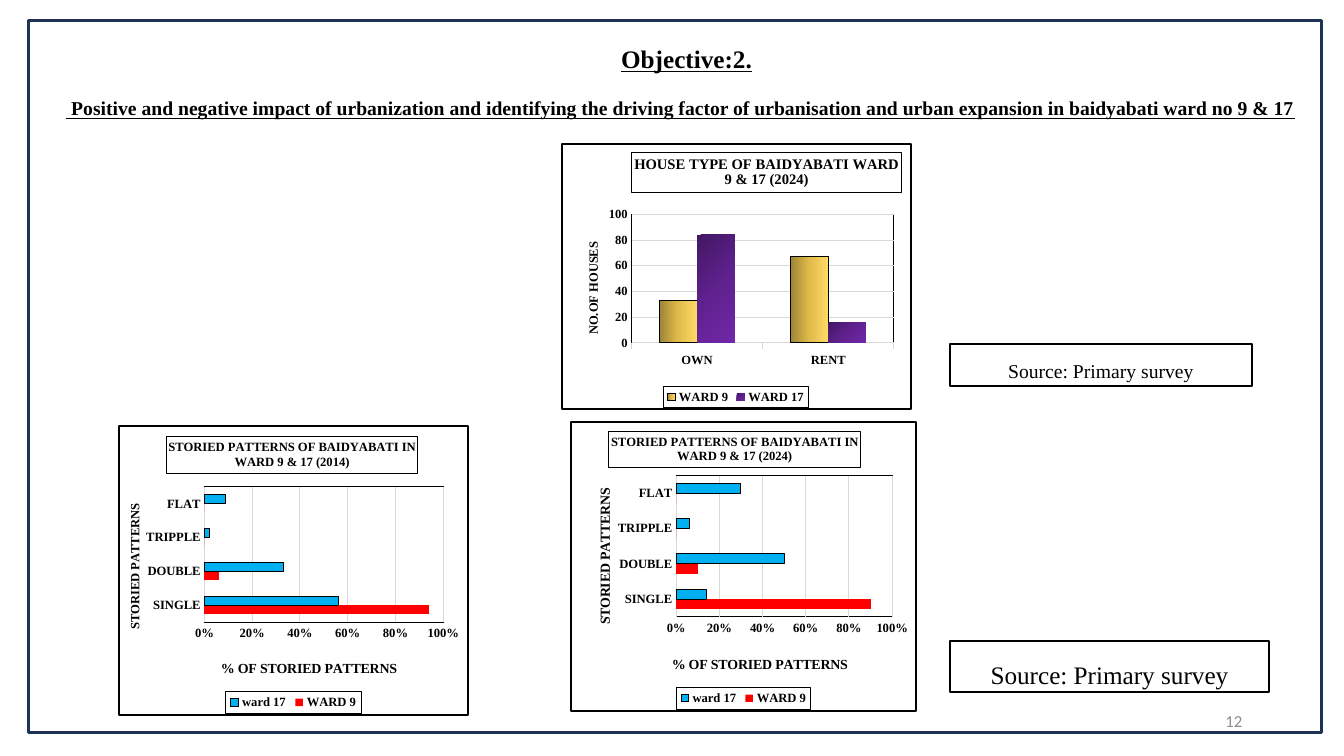
"""Build the Objective 2 slide on house types and storied patterns in two wards."""
from pptx import Presentation
from pptx.chart.data import CategoryChartData
from pptx.dml.color import RGBColor
from pptx.enum.chart import XL_CHART_TYPE, XL_LEGEND_POSITION, XL_TICK_MARK
from pptx.enum.shapes import MSO_SHAPE
from pptx.enum.text import MSO_ANCHOR, PP_ALIGN
from pptx.oxml import parse_xml
from pptx.oxml.ns import nsdecls, qn
from pptx.util import Inches, Pt

COLORS = {
    "ink": "000000", "frame": "1E3256", "number": "8C8C8C", "paper": "FFFFFF",
    "grid": "D9D9D9", "red": "FF0000", "blue": "00B0F0",
}
GOLD = (0, ["9E8436", "E1BC4C", "FFD966"])
PURPLE = (45, ["431764", "5F218E", "7128A8"])
SERIF = "Times New Roman"
STORIES = ["SINGLE", "DOUBLE", "TRIPPLE", "FLAT"]


def rgb(name):
    return RGBColor.from_string(COLORS[name])


def style_font(font, size, bold=None, underline=None, color="ink", face=SERIF):
    font.size, font.bold, font.underline, font.name = Pt(size), bold, underline, face
    font.color.rgb = rgb(color)


def write(paragraph, text, align=PP_ALIGN.CENTER, spacing=None, after=None, **font):
    paragraph.alignment, paragraph.line_spacing = align, spacing
    if after:
        paragraph.space_after = Pt(after)
    run = paragraph.add_run()
    run.text = text
    style_font(run.font, **font)


def outline(line, color, width):
    line.color.rgb = rgb(color)
    line.width = Pt(width)


def box_xml(width, fill=None):
    paint = f'<a:solidFill><a:srgbClr val="{COLORS[fill]}"/></a:solidFill>' if fill else "<a:noFill/>"
    return parse_xml(
        f'<c:spPr {nsdecls("c", "a")}>{paint}<a:ln w="{Pt(width)}"><a:solidFill>'
        f'<a:srgbClr val="{COLORS["ink"]}"/></a:solidFill></a:ln></c:spPr>')


def place(element, spot, after=None, inner=False):
    old = element.find(qn("c:layout"))
    if old is not None:
        element.remove(old)
    target = '<c:layoutTarget val="inner"/>' if inner else ""
    modes = '<c:xMode val="edge"/><c:yMode val="edge"/>'
    sizes = "".join(f'<c:{key} val="{value}"/>' for key, value in zip("xywh", spot))
    layout = parse_xml(
        f'<c:layout {nsdecls("c")}><c:manualLayout>{target}{modes}{sizes}'
        "</c:manualLayout></c:layout>")
    if after:
        element.find(qn(after)).addnext(layout)
    else:
        element.insert(0, layout)


def paint_series(series, paint):
    fill = series.format.fill
    fill.solid()
    if isinstance(paint, str):
        fill.fore_color.rgb = rgb(paint)
        return
    angle, shades = paint
    stops = "".join(
        f'<a:gs pos="{50000 * i}"><a:srgbClr val="{shade}"/></a:gs>' for i, shade in enumerate(shades))
    gradient = parse_xml(
        f'<a:gradFill {nsdecls("a")}><a:gsLst>{stops}</a:gsLst>'
        f'<a:lin ang="{angle * 60000}" scaled="0"/></a:gradFill>')
    properties = series._element.find(qn("c:spPr"))
    properties.replace(properties.find(qn("a:solidFill")), gradient)


class SlideBuilder:
    """Hold the text style and the current slide."""

    def __init__(self, slide):
        self.slide = slide
        self.body = {"spacing": 1.5, "after": 8}

    def text(self, at, lines, anchor=MSO_ANCHOR.TOP):
        frame = self.slide.shapes.add_textbox(*map(Inches, at)).text_frame
        frame.word_wrap, frame.vertical_anchor = True, anchor
        for i, (words, style) in enumerate(lines):
            write(frame.add_paragraph() if i else frame.paragraphs[0], words, **style)

    def box(self, at, color="ink", width=1.5, words=None, size=14):
        box = self.slide.shapes.add_shape(MSO_SHAPE.RECTANGLE, *map(Inches, at))
        box.shadow.inherit = False
        box.fill.background()
        outline(box.line, color, width)
        if words:
            box.text_frame.word_wrap = True
            write(box.text_frame.paragraphs[0], words, size=size, **self.body)

    def axis_title(self, axis, words, size, spot, upright=False):
        frame = axis.axis_title.text_frame
        write(frame.paragraphs[0], words, size=size, bold=True)
        title = axis.axis_title._element
        title.find(".//" + qn("a:bodyPr")).set("rot", "-5400000" if upright else "0")
        place(title, spot, "c:tx")

    def chart(self, at, kind, title, title_size, title_spot, categories, series,
              plot, legend_spot, top, number_format, gap, axis_line=True):
        data = CategoryChartData(number_format=number_format)
        data.categories = categories
        for name, values, _, _ in series:
            data.add_series(name, values)
        chart = self.slide.shapes.add_chart(kind, *map(Inches, at), data).chart
        style_font(chart.font, 9, bold=True)
        chart._chartSpace.find(qn("c:txPr")).addprevious(box_xml(1.5, "paper"))

        chart.has_title = True
        write(chart.chart_title.text_frame.paragraphs[0], title, size=title_size, bold=True)
        outline(chart.chart_title.format.line, "ink", 0.75)
        place(chart.chart_title._element, title_spot, "c:tx")

        chart.has_legend = True
        legend = chart.legend
        legend.position, legend.include_in_layout = XL_LEGEND_POSITION.BOTTOM, False
        style_font(legend.font, 9, bold=True)
        place(legend._element, legend_spot, "c:legendPos")
        legend._element.find(qn("c:txPr")).addprevious(box_xml(0.75))

        bars = chart.plots[0]
        bars.gap_width, bars.overlap, bars.vary_by_categories = gap, 0, False
        for drawn, (_, _, paint, edged) in zip(bars.series, series):
            paint_series(drawn, paint)
            if edged:
                outline(drawn.format.line, "ink", 0.75)

        names, scale = chart.category_axis, chart.value_axis
        for axis in (names, scale):
            axis.major_tick_mark = axis.minor_tick_mark = XL_TICK_MARK.NONE
            style_font(axis.tick_labels.font, 9, bold=True)
        if axis_line:
            outline(names.format.line, "grid", 0.75)
        else:
            names.format.line.fill.background()
        scale.format.line.fill.background()
        scale.minimum_scale, scale.maximum_scale, scale.major_unit = 0, top, top / 5
        scale.tick_labels.number_format = number_format
        scale.tick_labels.number_format_is_linked = False
        outline(scale.major_gridlines.format.line, "grid", 0.75)

        plot_area = chart._chartSpace.find(".//" + qn("c:plotArea"))
        place(plot_area, plot, inner=True)
        plot_area.append(box_xml(0.75))
        return chart

    def storied_chart(self, at, year, ward_9, ward_17, title_spot, plot,
                      names_size, names_spot, legend_spot, **options):
        chart = self.chart(
            at, XL_CHART_TYPE.BAR_CLUSTERED,
            f"STORIED PATTERNS OF BAIDYABATI IN WARD 9 & 17 ({year})", 9, title_spot, STORIES,
            [("WARD 9", ward_9, "red", False), ("ward 17", ward_17, "blue", True)],
            plot, legend_spot, 1, "0%", **options)
        self.axis_title(chart.category_axis, "STORIED PATTERNS", names_size, names_spot, upright=True)
        self.axis_title(chart.value_axis, "% OF STORIED PATTERNS", 10, (0.285, 0.8))


def main():
    deck = Presentation()
    deck.slide_width, deck.slide_height = Inches(13.33), Inches(7.5)
    page = SlideBuilder(deck.slides.add_slide(deck.slide_layouts[6]))

    page.text((9.42, 6.95, 3, 0.4), [
        ("12", {"align": PP_ALIGN.RIGHT, "size": 12, "color": "number", "face": "Calibri"}),
    ], MSO_ANCHOR.MIDDLE)
    page.box((0.28, 0.2, 12.83, 7.07), "frame", 2.25)
    heading = {"bold": True, "underline": True, **page.body}
    page.text((0.56, 0.23, 12.5, 1.07), [
        ("Objective:2.", {"size": 18, **heading}),
        (" Positive and negative impact of urbanization and identifying the driving factor of "
         "urbanisation and urban expansion in baidyabati ward no 9 & 17",
         {"size": 14, "align": PP_ALIGN.JUSTIFY, **heading}),
    ])

    houses = page.chart(
        (5.56, 1.42, 3.49, 2.65), XL_CHART_TYPE.COLUMN_CLUSTERED,
        "HOUSE TYPE OF BAIDYABATI WARD 9 & 17 (2024)", 10.5, (0.2, 0.03), ["OWN", "RENT"],
        [("WARD 9", (33, 67), GOLD, True), ("WARD 17", (84, 16), PURPLE, False)],
        (0.2, 0.265, 0.75, 0.485), (0.29, 0.915, 0.415, 0.08), 100, "General", 150)
    houses.category_axis.major_tick_mark = XL_TICK_MARK.OUTSIDE
    page.axis_title(houses.value_axis, "NO.OF HOUSES", 9, (0.06, 0.36), upright=True)

    page.storied_chart(
        (1.17, 4.22, 3.48, 2.88), 2014, (0.94, 0.06, 0, 0), (0.56, 0.33, 0.02, 0.09),
        (0.135, 0.035), (0.245, 0.21, 0.685, 0.47), 9, (0.015, 0.26),
        (0.305, 0.92, 0.39, 0.075), gap=182)
    page.storied_chart(
        (5.65, 4.18, 3.45, 2.88), 2024, (0.9, 0.1, 0, 0), (0.14, 0.5, 0.06, 0.3),
        (0.11, 0.03), (0.305, 0.185, 0.625, 0.49), 10, (0.065, 0.22),
        (0.305, 0.92, 0.39, 0.075), gap=150, axis_line=False)

    page.box((9.42, 6.36, 3.17, 0.51), words="Source: Primary survey", size=18)
    page.box((9.42, 3.41, 3, 0.42), words="Source: Primary survey")
    deck.save("out.pptx")


if __name__ == "__main__":
    main()
